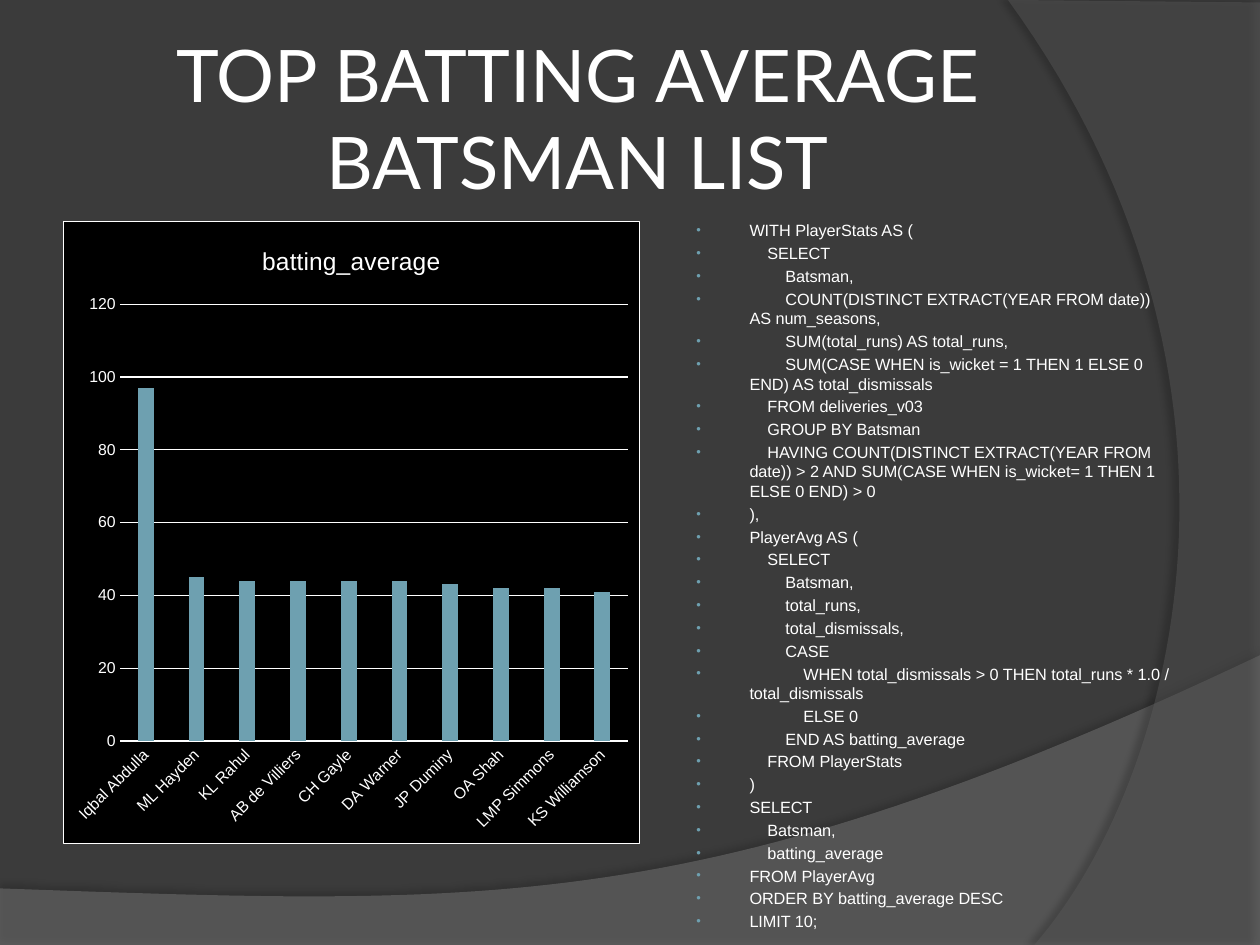
from lxml import etree
from pptx import Presentation
from pptx.chart.data import CategoryChartData
from pptx.dml.color import RGBColor
from pptx.enum.chart import XL_CHART_TYPE, XL_TICK_MARK
from pptx.enum.text import MSO_ANCHOR, PP_ALIGN
from pptx.oxml import parse_xml
from pptx.oxml.ns import qn
from pptx.util import Cm, Pt

COLUMNS = XL_CHART_TYPE.COLUMN_CLUSTERED
NO_TICKS = XL_TICK_MARK.NONE
LEFT, CENTER = PP_ALIGN.LEFT, PP_ALIGN.CENTER
TOP, MIDDLE = MSO_ANCHOR.TOP, MSO_ANCHOR.MIDDLE

BACKGROUND = RGBColor(0x3B, 0x3B, 0x3B)
WAVE_GREY = RGBColor(0x7F, 0x7F, 0x7F)
ARC_GREY = RGBColor(0x5E, 0x5E, 0x5E)
WHITE = RGBColor(0xFF, 0xFF, 0xFF)
BLACK = RGBColor(0, 0, 0)
TEAL = RGBColor(0x6E, 0xA0, 0xB0)

A_NS = 'xmlns:a="http://schemas.openxmlformats.org/drawingml/2006/main"'

AVERAGES = {
    "Iqbal Abdulla": 97, "ML Hayden": 45, "KL Rahul": 44,
    "AB de Villiers": 44, "CH Gayle": 44, "DA Warner": 44,
    "JP Duminy": 43, "OA Shah": 42, "LMP Simmons": 42, "KS Williamson": 41,
}

QUERY = """WITH PlayerStats AS (
    SELECT
        Batsman,
        COUNT(DISTINCT EXTRACT(YEAR FROM date)) AS num_seasons,
        SUM(total_runs) AS total_runs,
        SUM(CASE WHEN is_wicket = 1 THEN 1 ELSE 0 END) AS total_dismissals
    FROM deliveries_v03
    GROUP BY Batsman
    HAVING COUNT(DISTINCT EXTRACT(YEAR FROM date)) > 2 AND SUM(CASE WHEN is_wicket= 1 THEN 1 ELSE 0 END) > 0
),
PlayerAvg AS (
    SELECT
        Batsman,
        total_runs,
        total_dismissals,
        CASE
            WHEN total_dismissals > 0 THEN total_runs * 1.0 / total_dismissals
            ELSE 0
        END AS batting_average
    FROM PlayerStats
)
SELECT
    Batsman,
    batting_average
FROM PlayerAvg
ORDER BY batting_average DESC
LIMIT 10;"""


def curve(start, pull_1, pull_2, end, steps=60):
    """Points along a cubic Bezier curve, without its start."""
    points = []
    for step in range(1, steps + 1):
        t = step / steps
        weights = ((1 - t) ** 3, 3 * t * (1 - t) ** 2, 3 * t * t * (1 - t), t ** 3)
        points.append(tuple(
            sum(w * p[axis] for w, p in zip(weights, (start, pull_1, pull_2, end)))
            for axis in (0, 1)))
    return points


def add_swoosh(slide, corners, bend, color, opacity, shadow):
    """Translucent outline whose last corner continues into a curve.

    shadow is opacity in percent, distance in points, direction in degrees.
    """
    points = [(Cm(x), Cm(y)) for x, y in corners + curve(corners[-1], *bend)]
    builder = slide.shapes.build_freeform(*points[0])
    builder.add_line_segments(points[1:], close=True)
    swoosh = builder.convert_to_shape()
    swoosh.fill.solid()
    swoosh.fill.fore_color.rgb = color
    swoosh.line.fill.background()
    fill_color = swoosh._element.spPr.find(qn("a:solidFill"))[0]
    etree.SubElement(fill_color, qn("a:alpha"), val=str(opacity * 1000))
    strength, distance, direction = shadow
    swoosh._element.spPr.append(parse_xml(
        f'<a:effectLst {A_NS}><a:outerShdw blurRad="{Pt(4)}" dist="{Pt(distance)}" '
        f'dir="{direction * 60000}" algn="ctr" rotWithShape="0"><a:srgbClr val="{BLACK}">'
        f'<a:alpha val="{strength * 1000}"/></a:srgbClr></a:outerShdw></a:effectLst>'))


def style_font(font, size, name="Arial"):
    font.size, font.name = Pt(size), name
    font.color.rgb = WHITE


def add_bullet(paragraph):
    properties = paragraph._p.get_or_add_pPr()
    properties.set("marL", str(Cm(1.17)))
    properties.set("indent", str(-Cm(1.07)))
    for bullet_part in (f'<a:buClr {A_NS}><a:srgbClr val="{TEAL}"/></a:buClr>',
                        f'<a:buSzPct {A_NS} val="80000"/>',
                        f'<a:buFont {A_NS} typeface="Arial"/>',
                        f'<a:buChar {A_NS} char="•"/>'):
        properties.append(parse_xml(bullet_part))


def add_text(slide, text, box, *, size, font="Arial", align=LEFT, anchor=TOP,
             margin=0.25, bullets=False, leading=None, gap=0):
    """Text box with one paragraph for each line of text."""
    frame = slide.shapes.add_textbox(*map(Cm, box)).text_frame
    frame.word_wrap = True
    frame.vertical_anchor = anchor
    frame.margin_left = frame.margin_right = Cm(margin)
    frame.margin_top = frame.margin_bottom = Cm(0.13)
    for index, line in enumerate(text.split("\n")):
        paragraph = frame.paragraphs[0] if index == 0 else frame.add_paragraph()
        if bullets:
            add_bullet(paragraph)
        paragraph.alignment = align
        if leading:
            paragraph.line_spacing = Pt(leading)
        if index:
            paragraph.space_before = Pt(gap)
        run = paragraph.add_run()
        run.text = line
        style_font(run.font, size, font)


def style_line(line):
    line.color.rgb = WHITE
    line.width = Pt(0.75)


def add_average_chart(slide, box):
    data = CategoryChartData()
    data.categories = list(AVERAGES)
    data.add_series("batting_average", list(AVERAGES.values()))
    chart = slide.shapes.add_chart(COLUMNS, *map(Cm, box), data).chart
    style_font(chart.font, 10)
    chart.has_legend = False
    chart.has_title = True
    title = chart.chart_title.text_frame
    title.text = "batting_average"
    style_font(title.paragraphs[0].runs[0].font, 14)
    title.paragraphs[0].runs[0].font.bold = False

    for axis in (chart.category_axis, chart.value_axis):
        axis.major_tick_mark = axis.minor_tick_mark = NO_TICKS
        style_font(axis.tick_labels.font, 9)
    style_line(chart.category_axis.format.line)
    names_body = chart.category_axis._element.find(qn("c:txPr")).find(qn("a:bodyPr"))
    names_body.set("rot", str(-45 * 60000))
    values = chart.value_axis
    values.minimum_scale, values.maximum_scale, values.major_unit = 0, 120, 20
    values.format.line.fill.background()
    style_line(values.major_gridlines.format.line)

    plot = chart.plots[0]
    plot.gap_width, plot.overlap = 219, -27
    plot.vary_by_categories = False
    bars = plot.series[0].format.fill
    bars.solid()
    bars.fore_color.rgb = TEAL

    panel = parse_xml(
        '<c:spPr xmlns:c="http://schemas.openxmlformats.org/drawingml/2006/chart" '
        f'{A_NS}><a:solidFill><a:srgbClr val="{BLACK}"/></a:solidFill>'
        f'<a:ln w="{Pt(0.75)}"><a:solidFill><a:srgbClr val="{WHITE}"/></a:solidFill>'
        '</a:ln></c:spPr>')
    chart._chartSpace.find(qn("c:chart")).addnext(panel)


def main():
    deck = Presentation()
    deck.slide_width, deck.slide_height = Cm(25.4), Cm(19.05)
    slide = deck.slides.add_slide(deck.slide_layouts[6])
    slide.background.fill.solid()
    slide.background.fill.fore_color.rgb = BACKGROUND

    add_swoosh(slide, [(0, 17.91), (0, 19.08), (25.4, 19.08), (25.4, 13.21)],
               [(14.2, 18.52), (9.93, 18.26), (0, 17.91)],
               WAVE_GREY, 45, shadow=(35, 3.5, 270))
    add_swoosh(slide, [(25.4, 0.05), (25.4, 19.05), (20.85, 19.05)],
               [(23.75, 15.72), (25.86, 7.62), (20.32, 0)],
               ARC_GREY, 40, shadow=(45, 4, 180))

    add_text(slide, "TOP BATTING AVERAGE BATSMAN LIST", (1.27, 0.76, 20.75, 3.18),
             size=41.4, font="Lato", align=CENTER, anchor=MIDDLE, margin=0.13)
    add_average_chart(slide, (1.27, 4.45, 11.63, 12.57))
    add_text(slide, QUERY, (13.69, 4.32, 10.24, 12.57), size=9.3,
             bullets=True, leading=11.15, gap=1.9)
    deck.save("out.pptx")


if __name__ == "__main__":
    main()
